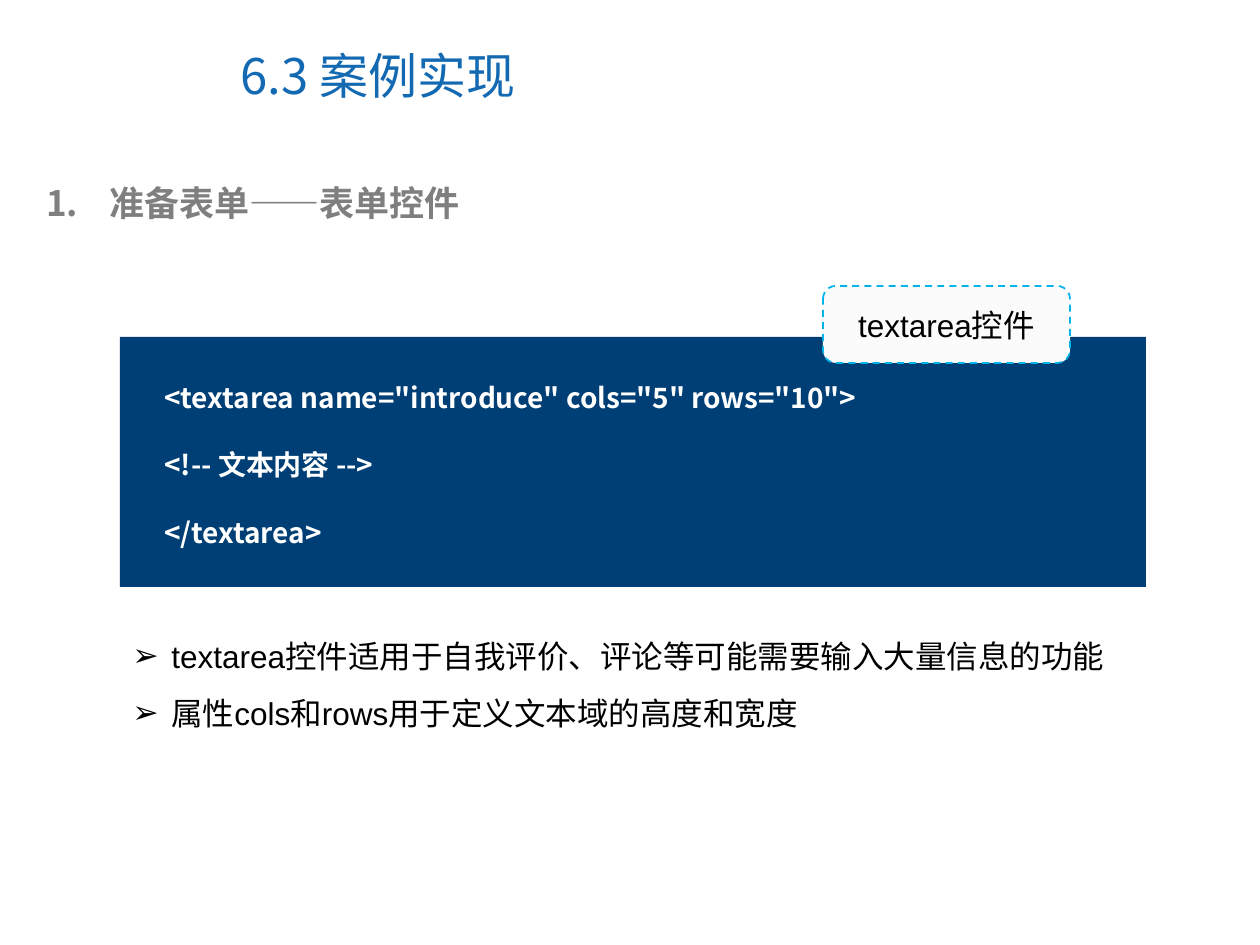
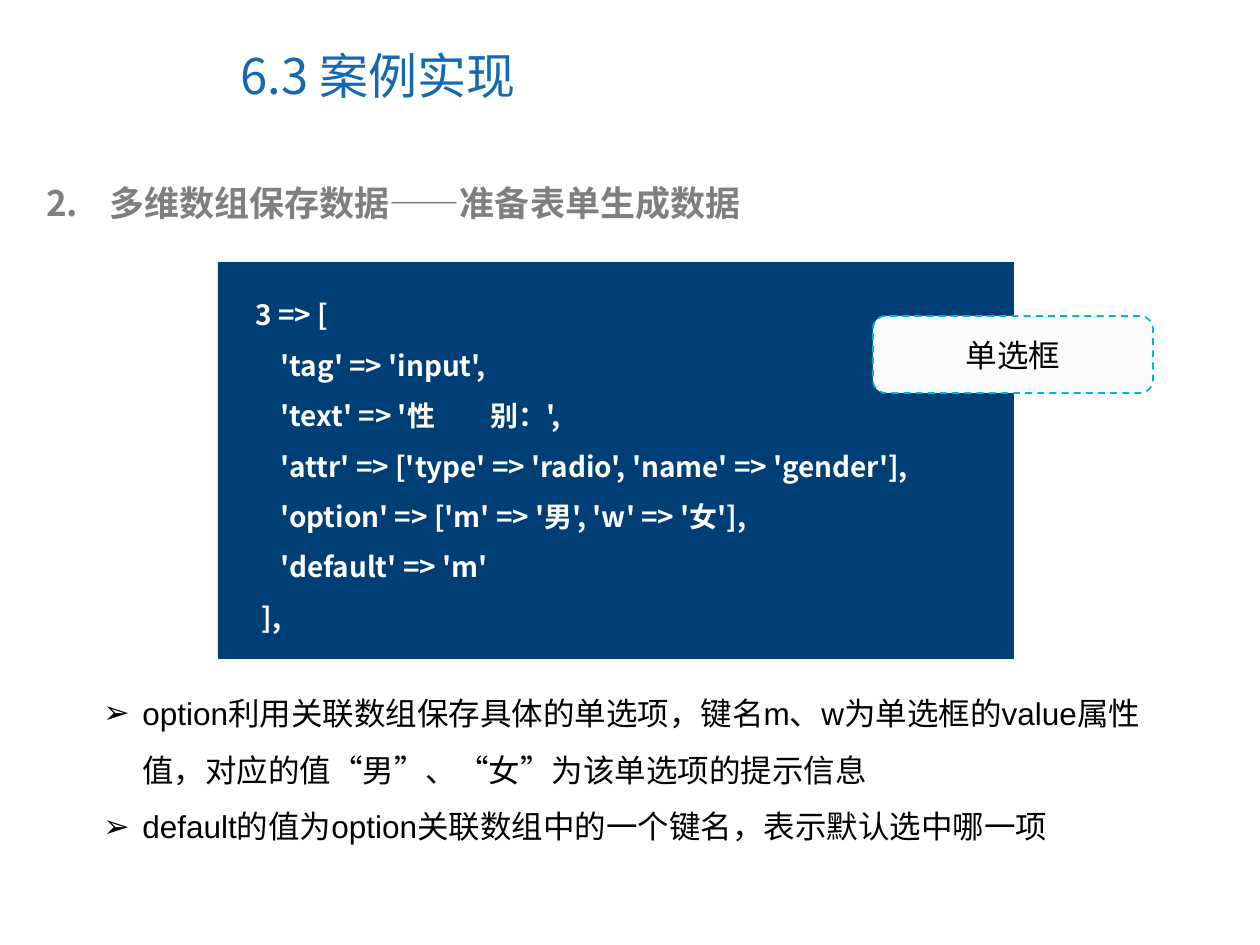
from lxml.etree import SubElement
from pptx import Presentation
from pptx.dml.color import RGBColor
from pptx.enum.dml import MSO_LINE
from pptx.enum.shapes import MSO_SHAPE
from pptx.enum.text import MSO_ANCHOR, MSO_AUTO_SIZE, PP_ALIGN
from pptx.oxml.ns import qn
from pptx.util import Emu, Pt

COLORS = {
    "title": "1369B2",
    "heading": "7F7F7F",
    "code_bg": "003F75",
    "code_text": "FFFFFF",
    "label_bg": "FBFBFB",
    "label_line": "00B4E9",
    "body": "000000",
}
CJK_FONT = "Noto Sans CJK SC"
BODY_FONT = "Arial"
PX_PER_INCH = 126
TITLE = "6.3 案例实现"
TITLE_BOX = (228, 21, 650, 107)
HEADING_BOX = (34, 175, 1162, 55)
HEADING_INDENT = 63
BULLET_INDENT = 39

SLIDES = [
    {
        "heading": "准备表单——表单控件",
        "code": [
            '<textarea name="introduce" cols="5" rows="10">',
            "<!-- 文本内容 -->",
            "</textarea>",
        ],
        "code_box": (120, 337, 1026, 250),
        "code_offset": (32, 4),
        "code_spacing": 2.0,
        "label": "textarea控件",
        "label_box": (823, 286, 247, 77),
        "notes": [
            "textarea控件适用于自我评价、评论等可能需要输入大量信息的功能",
            "属性cols和rows用于定义文本域的高度和宽度",
        ],
        "notes_box": (120, 612, 1087, 126),
    },
    {
        "heading": "多维数组保存数据——准备表单生成数据",
        "code": [
            "3 => [",
            "    'tag' => 'input',",
            "    'text' => '性　　别：',",
            "    'attr' => ['type' => 'radio', 'name' => 'gender'],",
            "    'option' => ['m' => '男', 'w' => '女'],",
            "    'default' => 'm'",
            " ],",
        ],
        "code_box": (218, 262, 796, 397),
        "code_offset": (25, 13),
        "code_spacing": 1.5,
        "label": "单选框",
        "label_box": (873, 316, 280, 77),
        "notes": [
            "option利用关联数组保存具体的单选项，键名m、w为单选框的value属性值，"
            "对应的值“男”、“女”为该单选项的提示信息",
            "default的值为option关联数组中的一个键名，表示默认选中哪一项",
        ],
        "notes_box": (91, 669, 1091, 183),
    },
]


def px(*lengths):
    return [Emu(round(n * 914400 / PX_PER_INCH)) for n in lengths]


def rgb(name):
    return RGBColor.from_string(COLORS[name])


def format_text(tf, size, color, font=CJK_FONT, bold=False, spacing=None):
    for p in tf.paragraphs:
        if spacing:
            p.line_spacing = spacing
        for r in p.runs:
            r.font.size = Pt(size)
            r.font.bold = bold
            r.font.name = font
            r.font.color.rgb = rgb(color)
            SubElement(r._r.rPr, qn("a:ea"), typeface=CJK_FONT)


def add_text(shapes, box, lines):
    tf = shapes.add_textbox(*px(*box)).text_frame
    tf.word_wrap = True
    tf.text = "\n".join(lines)
    return tf


def add_bullet(p, indent, color, kind, **attrs):
    """Give a paragraph a hanging bullet: kind is buChar or buAutoNum."""
    pPr = p._p.get_or_add_pPr()
    width = px(indent)[0]
    pPr.set("marL", str(width))
    pPr.set("indent", str(-width))
    SubElement(SubElement(pPr, qn("a:buClr")), qn("a:srgbClr"), val=COLORS[color])
    if kind == "buChar":
        SubElement(pPr, qn("a:buFont"), typeface=BODY_FONT)
    SubElement(pPr, qn(f"a:{kind}"), **attrs)


def add_box(shapes, preset, box, fill):
    sp = shapes.add_shape(preset, *px(*box))
    sp.shadow.inherit = False
    sp.fill.solid()
    sp.fill.fore_color.rgb = rgb(fill)
    return sp


def set_title(slide):
    sp = slide.shapes.title
    sp.left, sp.top, sp.width, sp.height = px(*TITLE_BOX)
    tf = sp.text_frame
    tf.text = TITLE
    tf.auto_size = MSO_AUTO_SIZE.NONE
    tf.vertical_anchor = MSO_ANCHOR.MIDDLE
    tf.paragraphs[0].alignment = PP_ALIGN.LEFT
    format_text(tf, 28, "title")


def add_heading(slide, number, text):
    tf = add_text(slide.shapes, HEADING_BOX, [text])
    add_bullet(tf.paragraphs[0], HEADING_INDENT, "heading", "buAutoNum",
               type="arabicPeriod", startAt=str(number))
    format_text(tf, 20, "heading", bold=True)


def add_code(slide, box, offset, lines, spacing):
    group = slide.shapes.add_group_shape()
    panel = add_box(group.shapes, MSO_SHAPE.RECTANGLE, box, "code_bg")
    panel.line.fill.background()
    x, y, w, h = box
    dx, dy = offset
    tf = add_text(group.shapes, (x + dx, y + dy, w - dx, h - 2 * dy), lines)
    format_text(tf, 16, "code_text", bold=True, spacing=spacing)


def add_label(slide, box, text):
    sp = add_box(slide.shapes, MSO_SHAPE.ROUNDED_RECTANGLE, box, "label_bg")
    sp.line.color.rgb = rgb("label_line")
    sp.line.width = Pt(1)
    sp.line.dash_style = MSO_LINE.DASH
    tf = sp.text_frame
    tf.text = text
    tf.vertical_anchor = MSO_ANCHOR.MIDDLE
    tf.paragraphs[0].alignment = PP_ALIGN.CENTER
    format_text(tf, 18, "body", BODY_FONT)


def add_notes(slide, box, lines):
    """Add the bulleted explanation under the code."""
    tf = add_text(slide.shapes, box, lines)
    for p in tf.paragraphs:
        add_bullet(p, BULLET_INDENT, "body", "buChar", char="➢")
    format_text(tf, 18, "body", BODY_FONT, spacing=1.5)


def add_code_slide(prs, number, content):
    slide = prs.slides.add_slide(prs.slide_layouts[5])
    set_title(slide)
    add_heading(slide, number, content["heading"])
    add_code(slide, content["code_box"], content["code_offset"],
             content["code"], content["code_spacing"])
    add_label(slide, content["label_box"], content["label"])
    add_notes(slide, content["notes_box"], content["notes"])


def main():
    prs = Presentation()
    prs.slide_width, prs.slide_height = px(1260, 945)
    for number, content in enumerate(SLIDES, 1):
        add_code_slide(prs, number, content)
    prs.save("out.pptx")


if __name__ == "__main__":
    main()
